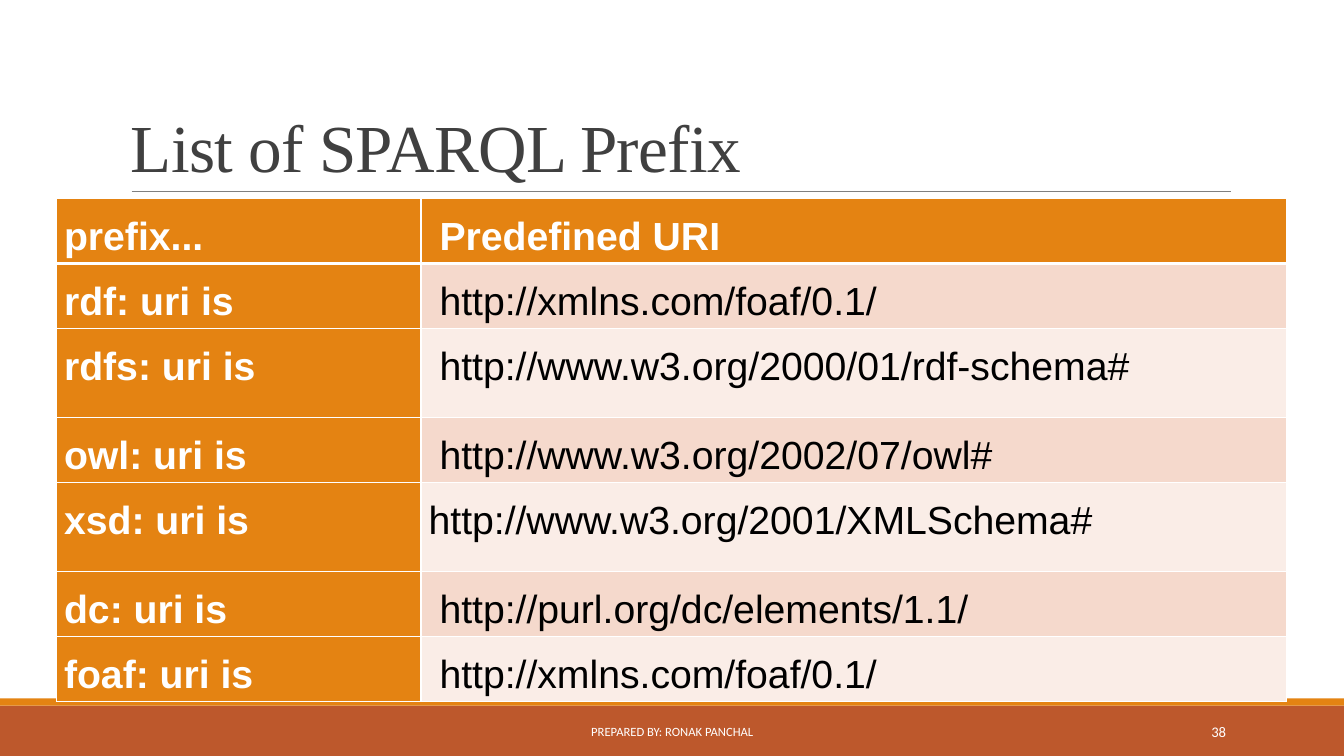
from lxml.etree import SubElement
from pptx import Presentation
from pptx.dml.color import RGBColor
from pptx.enum.shapes import MSO_CONNECTOR, MSO_SHAPE
from pptx.enum.text import MSO_ANCHOR, PP_ALIGN
from pptx.oxml.ns import qn
from pptx.util import Pt

WHITE = RGBColor(0xFF, 0xFF, 0xFF)
BLACK = RGBColor(0, 0, 0)
INK = RGBColor(0x40, 0x40, 0x40)
GRAY = RGBColor(0x80, 0x80, 0x80)
RUST = RGBColor(0xBD, 0x58, 0x2C)
AMBER = RGBColor(0xE4, 0x83, 0x12)
ROSE = RGBColor(0xF5, 0xD9, 0xCC)
PALE = RGBColor(0xFA, 0xED, 0xE7)

LOW, HIGH = 46.6, 63.4
PAD, INDENT = 5.4, 13.2
ROWS = [
    ("prefix...", "Predefined URI", LOW, INDENT),
    ("rdf: uri is", "http://xmlns.com/foaf/0.1/", LOW, INDENT),
    ("rdfs: uri is", "http://www.w3.org/2000/01/rdf-schema#", HIGH, INDENT),
    ("owl: uri is", "http://www.w3.org/2002/07/owl#", LOW, INDENT),
    ("xsd: uri is", "http://www.w3.org/2001/XMLSchema#", HIGH, PAD),
    ("dc: uri is", "http://purl.org/dc/elements/1.1/", LOW, INDENT),
    ("foaf: uri is", "http://xmlns.com/foaf/0.1/", LOW, INDENT),
]


class Painter:
    head_face, body_face, grid_face = "Times New Roman", "Calibri", "Arial"

    def __init__(self, slide):
        self.slide = slide
        self.shapes = slide.shapes

    def style(self, para, face, size, color, bold=False):
        font = para.font
        font.name, font.size, font.bold = face, Pt(size), bold
        font.color.rgb = color

    def bar(self, left, top, width, height, color):
        bar = self.shapes.add_shape(
            MSO_SHAPE.RECTANGLE, Pt(left), Pt(top), Pt(width), Pt(height))
        bar.shadow.inherit = False
        bar.fill.solid()
        bar.fill.fore_color.rgb = color
        bar.line.fill.background()

    def rule(self, left, right, top, color, weight):
        rule = self.shapes.add_connector(
            MSO_CONNECTOR.STRAIGHT, Pt(left), Pt(top), Pt(right), Pt(top))
        rule.line.color.rgb = color
        rule.line.width = Pt(weight)
        SubElement(rule._element.spPr, qn("a:effectLst"))

    def text(self, words, left, top, width, height, face, size, color,
             align=PP_ALIGN.LEFT, anchor=MSO_ANCHOR.MIDDLE):
        box = self.shapes.add_textbox(Pt(left), Pt(top), Pt(width), Pt(height))
        frame = box.text_frame
        frame.word_wrap = True
        frame.vertical_anchor = anchor
        para = frame.paragraphs[0]
        para.text = words
        para.alignment = align
        self.style(para, face, size, color)
        return para

    def title(self, words, left, top, width, height):
        para = self.text(words, left, top, width, height, self.head_face, 48,
                         INK, anchor=MSO_ANCHOR.BOTTOM)
        para.line_spacing = 0.85
        para._p.pPr.find(qn("a:defRPr")).set("spc", "-50")

    def note(self, words, left, width, size, align):
        self.text(words, left, 508.3, width, 28.8, self.body_face, size,
                  WHITE, align)

    def edge(self, cell, side, weight):
        line = SubElement(cell._tc.get_or_add_tcPr(), qn("a:ln" + side),
                          w=str(Pt(weight)))
        fill = SubElement(line, qn("a:solidFill"))
        SubElement(fill, qn("a:srgbClr"), val=str(WHITE))

    def cell(self, cell, words, fill, color, bold, left, above, below):
        for side, weight in zip("LRTB", (1, 1, above, below)):
            self.edge(cell, side, weight)
        cell.fill.solid()
        cell.fill.fore_color.rgb = fill
        cell.margin_left, cell.margin_right = Pt(left), Pt(PAD)
        cell.margin_top = cell.margin_bottom = Pt(0)
        para = cell.text_frame.paragraphs[0]
        para.text = words
        para.line_spacing = 1.38
        self.style(para, self.grid_face, 28, color, bold)

    def table(self, rows, left, top, widths):
        height = sum(row[2] for row in rows)
        frame = self.shapes.add_table(
            len(rows), len(widths), Pt(left), Pt(top), Pt(sum(widths)), Pt(height))
        grid = frame.table
        for col, width in zip(grid.columns, widths):
            col.width = Pt(width)
        for i, (prefix, link, tall, indent) in enumerate(rows):
            grid.rows[i].height = Pt(tall)
            head = i == 0
            above, below = (3 if i == 1 else 1), (3 if head else 1)
            fill = AMBER if head else (ROSE if i % 2 else PALE)
            color = WHITE if head else BLACK
            self.cell(grid.cell(i, 0), prefix, AMBER, WHITE, True, PAD, above, below)
            self.cell(grid.cell(i, 1), link, fill, color, head, indent, above, below)


def main():
    deck = Presentation()
    deck.slide_width, deck.slide_height = Pt(960), Pt(540)
    page = Painter(deck.slides.add_slide(deck.slide_layouts[6]))
    page.bar(0, 504, 960, 36, RUST)
    page.bar(0, 498.9, 960, 5.1, AMBER)
    page.rule(94, 879, 136.8, GRAY, 0.5)
    page.title("List of SPARQL Prefix", 86.4, 22.5, 792, 114.2)
    page.note("PREPARED BY: RONAK PANCHAL", 290.3, 379.6, 9, PP_ALIGN.CENTER)
    page.note("38", 779.6, 103.3, 10.5, PP_ALIGN.RIGHT)
    page.table(ROWS, 40.4, 141.6, (260.4, 618.2))
    deck.save("out.pptx")


if __name__ == "__main__":
    main()
